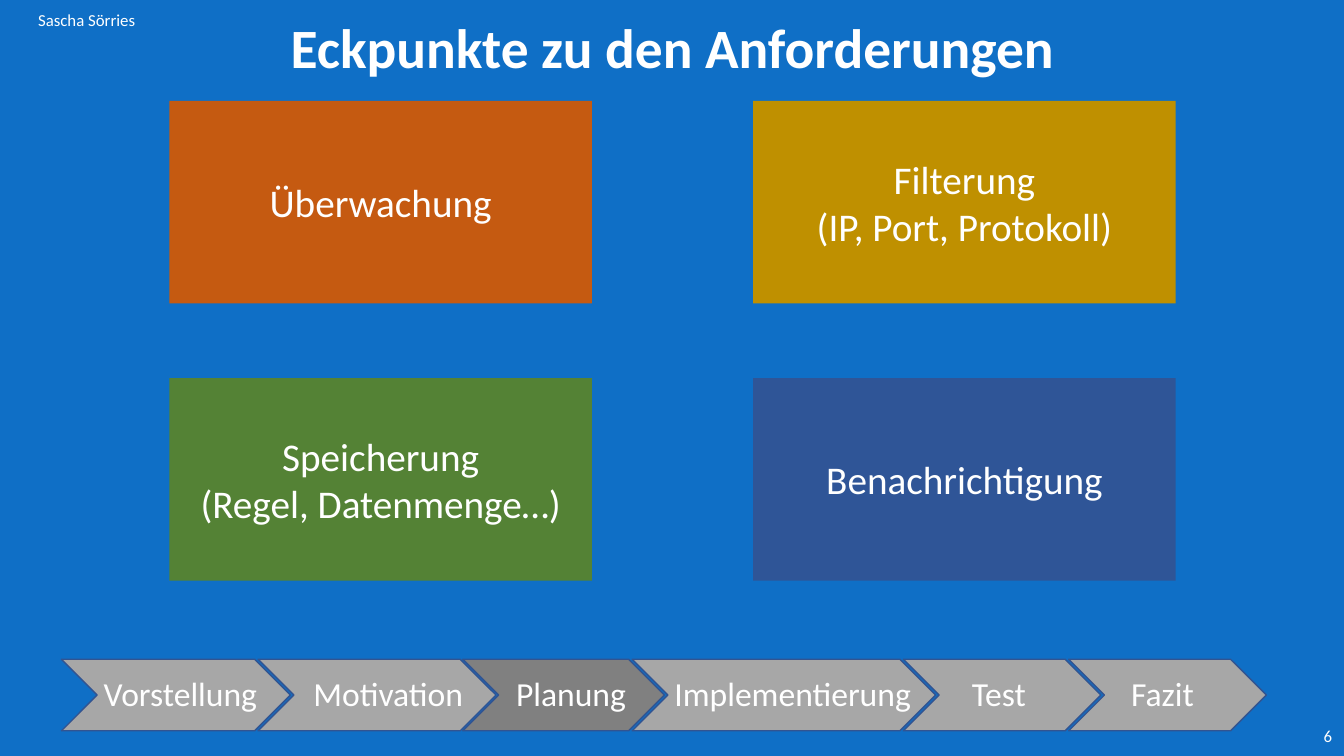
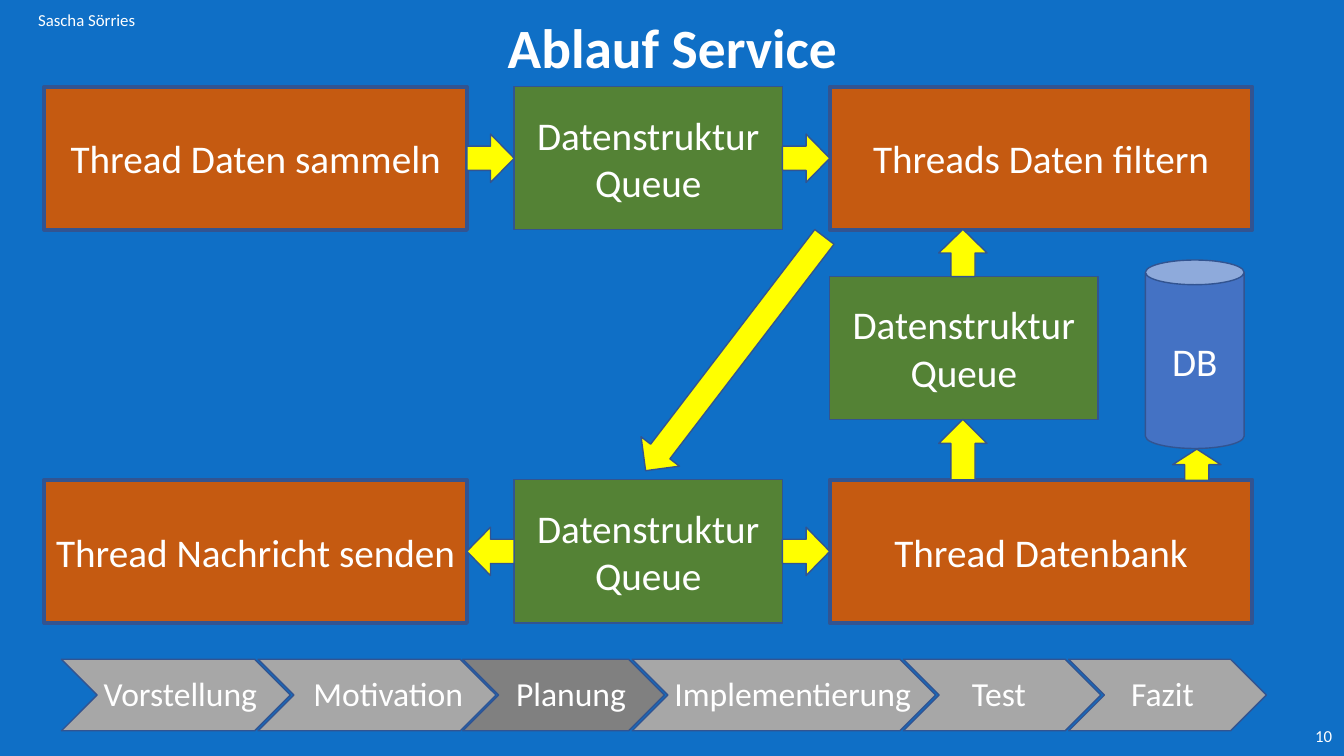
from dataclasses import dataclass

from pptx import Presentation
from pptx.dml.color import RGBColor
from pptx.enum.shapes import MSO_SHAPE as Preset
from pptx.enum.text import MSO_ANCHOR as Anchor, MSO_AUTO_SIZE as AutoSize, PP_ALIGN as Align
from pptx.util import Inches, Pt


@dataclass(frozen=True)
class Theme:
    font: str = "Calibri"
    background: str = "0F6FC6"
    text: str = "FFFFFF"
    outline: str = "325491"
    step: str = "A7A7A7"
    current_step: str = "808080"
    orange: str = "C55A11"
    gold: str = "BF9000"
    green: str = "548235"
    navy: str = "2F5597"
    database: str = "4472C4"
    arrow: str = "FFFF00"
    title_size: float = 39.6
    box_size: float = 28
    step_size: float = 24
    small_size: float = 12


THEME = Theme()
AUTHOR = "Sascha Sörries"
CURRENT_STEP = "Planung"
STEPS = [
    ("Vorstellung", 0.61, 2.27, 0.93),
    ("Motivation", 2.56, 2.36, 3.01),
    ("Planung", 4.59, 2, 5.02),
    ("Implementierung", 6.27, 3.01, 6.59),
    ("Test", 8.96, 1.96, 9.54),
    ("Fazit", 10.6, 1.96, 11.12),
]


def write(frame, text, size, align=Align.CENTER, anchor=Anchor.MIDDLE, bold=False, spacing=None):
    frame.text = text
    frame.word_wrap = True
    frame.auto_size = AutoSize.NONE
    frame.vertical_anchor = anchor
    for paragraph in frame.paragraphs:
        paragraph.alignment = align
        paragraph.line_spacing = spacing
        for run in paragraph.runs:
            run.font.name = THEME.font
            run.font.size = Pt(size)
            run.font.bold = bold
            run.font.color.rgb = RGBColor.from_string(THEME.text)


class Deck:
    """Holds the shared style and the slide being built."""

    def __init__(self, theme):
        self.theme = theme
        self.presentation = Presentation()
        self.presentation.slide_width = Inches(13.33)
        self.presentation.slide_height = Inches(7.5)
        fill = self.presentation.slide_master.background.fill
        fill.solid()
        fill.fore_color.rgb = RGBColor.from_string(theme.background)
        self.slide = None

    def start_slide(self, title, number):
        layout = self.presentation.slide_layouts[5]
        self.slide = self.presentation.slides.add_slide(layout)
        self.title(title)
        self.progress()
        self.label(AUTHOR, 0, 0, 1.72, 0.4, size=self.theme.small_size)
        self.label(str(number), 12.66, 7.1, 0.65, 0.4, size=self.theme.small_size, align=Align.RIGHT)

    def title(self, text):
        shape = self.slide.shapes.title
        shape.left, shape.top = Inches(0.92), Inches(0.16)
        shape.width, shape.height = Inches(11.5), Inches(0.69)
        write(shape.text_frame, text, self.theme.title_size, bold=True, spacing=0.9)

    def label(self, text, left, top, width, height, **style):
        box = self.slide.shapes.add_textbox(Inches(left), Inches(top), Inches(width), Inches(height))
        write(box.text_frame, text, **style)

    def shape(self, preset, left, top, width, height, fill, line=1, text=""):
        shape = self.slide.shapes.add_shape(
            preset, Inches(left), Inches(top), Inches(width), Inches(height))
        shape.shadow.inherit = False
        shape.fill.solid()
        shape.fill.fore_color.rgb = RGBColor.from_string(fill)
        if line:
            shape.line.color.rgb = RGBColor.from_string(self.theme.outline)
            shape.line.width = Pt(line)
        else:
            shape.line.fill.background()
        if text:
            write(shape.text_frame, text, self.theme.box_size)
        return shape

    def box(self, text, left, top, width, height, fill, line=1):
        self.shape(Preset.RECTANGLE, left, top, width, height, fill, line, text)

    def arrow(self, center_x, center_y, length, rotation=0):
        thickness = 0.48
        arrow = self.shape(Preset.LEFT_ARROW, center_x - length / 2, center_y - thickness / 2,
                           length, thickness, self.theme.arrow)
        arrow.rotation = rotation

    def progress(self):
        for name, left, width, _ in STEPS:
            fill = self.theme.current_step if name == CURRENT_STEP else self.theme.step
            self.shape(Preset.CHEVRON, left, 6.54, width, 0.71, fill)
        for name, _, width, text_left in STEPS:
            self.label(name, text_left, 6.63, width, 0.5, size=self.theme.step_size,
                       align=Align.LEFT, anchor=Anchor.TOP)


def build_requirements(deck):
    deck.start_slide("Eckpunkte zu den Anforderungen", 6)
    requirements = [
        ("Überwachung", THEME.orange),
        ("Filterung\n(IP, Port, Protokoll)", THEME.gold),
        ("Speicherung\n(Regel, Datenmenge…)", THEME.green),
        ("Benachrichtigung", THEME.navy),
    ]
    for index, (text, fill) in enumerate(requirements):
        row, column = divmod(index, 2)
        deck.box(text, 1.68 + column * 5.79, 1 + row * 2.75, 4.19, 2.01, fill, line=0)


def build_service_flow(deck):
    deck.start_slide("Ablauf Service", 10)
    thread_width, queue_width, height, gap = 4.19, 2.66, 1.42, 0.47
    left = 0.44
    queue_left = left + thread_width + gap
    right = queue_left + queue_width + gap
    rows = [
        (0.86, "Thread Daten sammeln", "Threads Daten filtern", 180),
        (4.76, "Thread Nachricht senden", "Thread Datenbank", 0),
    ]
    queues = [(queue_left, top) for top, *_ in rows] + [(right, 2.74)]
    for queue_x, queue_y in queues:
        deck.box("Datenstruktur\nQueue", queue_x, queue_y, queue_width, height, THEME.green)
    for top, left_thread, right_thread, rotation in rows:
        for thread_left, text in ((left, left_thread), (right, right_thread)):
            deck.box(text, thread_left, top, thread_width, height, THEME.orange, line=3)
        middle = top + height / 2
        deck.arrow(queue_left - gap / 2, middle, gap, rotation)
        deck.arrow(right - gap / 2, middle, gap, 180)
    deck.shape(Preset.CAN, 11.36, 2.58, 0.98, 1.87, THEME.database, text="DB")
    deck.arrow(7.29, 3.51, 2.92, 307.4)
    for center_x, center_y, length in ((9.55, 4.46, 0.6), (9.55, 2.51, gap), (11.87, 4.61, 0.31)):
        deck.arrow(center_x, center_y, length, 90)


def main():
    deck = Deck(THEME)
    build_requirements(deck)
    build_service_flow(deck)
    deck.presentation.save("out.pptx")


if __name__ == "__main__":
    main()
